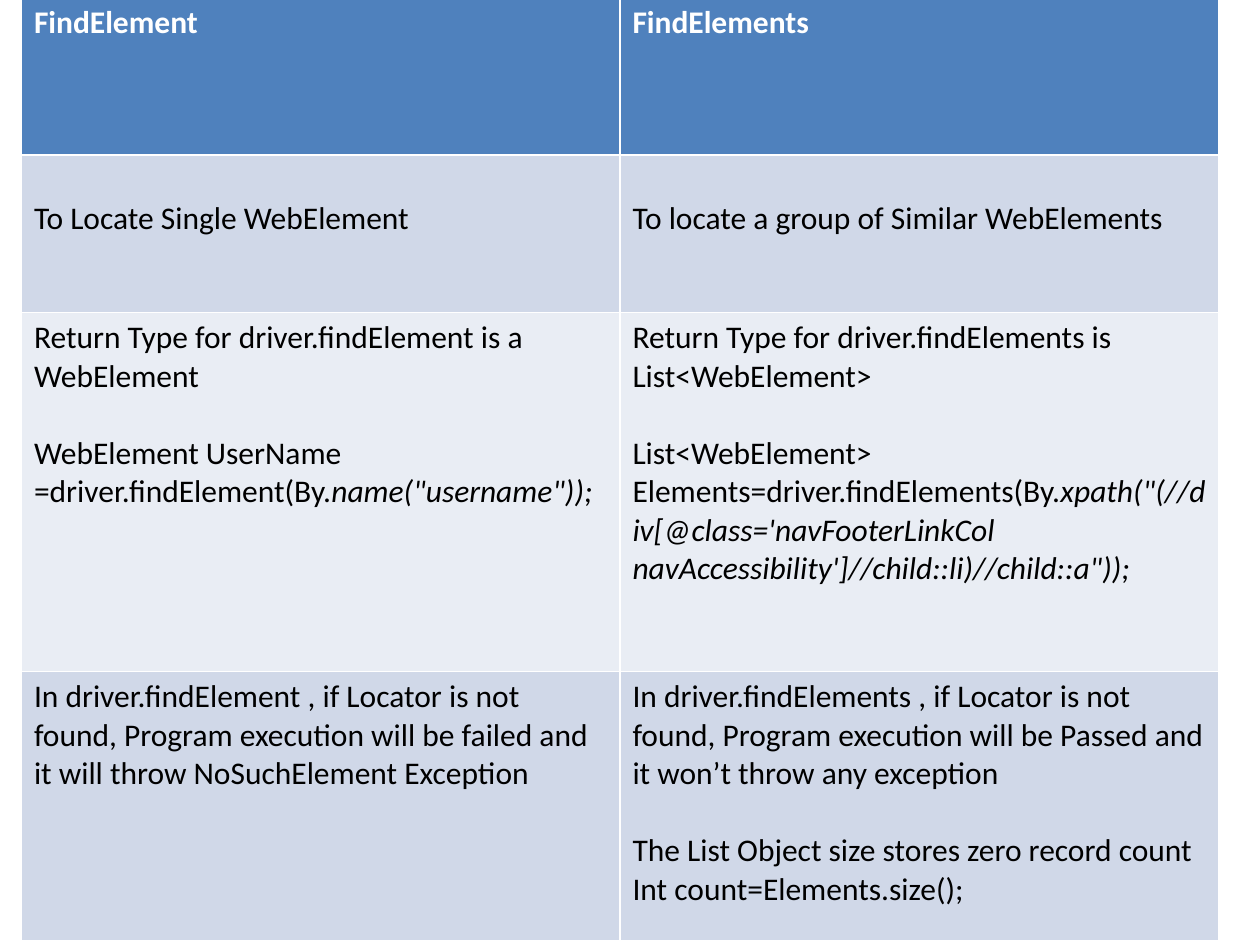
from pptx import Presentation
from pptx.dml.color import RGBColor
from pptx.util import Inches, Pt

COLORS = {
    "header": "4F81BD",
    "band_dark": "D0D8E8",
    "band_light": "E9EDF4",
    "white": "FFFFFF",
    "black": "000000",
}
FONT = "Calibri"
FONT_SIZE = 18
LINE_GAP = 22  # one line of text, in points

LEFT, TOP = 0.17, -0.02
COLUMN_WIDTH = 4.75
MARGIN_TOP = 0.05

# Each cell lists its paragraphs: (plain text, italic text, gap above in points)
ROWS = [
    {
        "height": 1.25, "fill": "header", "margin_top": MARGIN_TOP,
        "cells": [[("FindElement", "", 0)], [("FindElements", "", 0)]],
    },
    {
        "height": 1.25, "fill": "band_dark", "margin_top": MARGIN_TOP + 0.3,
        "cells": [
            [("To Locate Single WebElement", "", 0)],
            [("To locate a group of Similar WebElements", "", 0)],
        ],
    },
    {
        "height": 2.85, "fill": "band_light", "margin_top": MARGIN_TOP,
        "cells": [
            [
                ("Return Type for driver.findElement is a WebElement", "", 0),
                ("WebElement UserName =driver.findElement(By.",
                 'name("username"));', LINE_GAP),
            ],
            [
                ("Return Type for driver.findElements is List<WebElement>", "", 0),
                ("List<WebElement> Elements=driver.findElements(By.",
                 "xpath(\"(//div[@class='navFooterLinkCol navAccessibility']"
                 "//child::li)//child::a\"));", LINE_GAP),
            ],
        ],
    },
    {
        "height": 2.14, "fill": "band_dark", "margin_top": MARGIN_TOP,
        "cells": [
            [("In driver.findElement , if Locator is not found, Program execution "
              "will be failed and it will throw NoSuchElement Exception", "", 0)],
            [
                ("In driver.findElements , if Locator is not found, Program execution "
                 "will be Passed and it won’t throw any exception", "", 0),
                ("The List Object size stores zero record count", "", LINE_GAP),
                ("Int count=Elements.size();", "", 0),
            ],
        ],
    },
]


def rgb(name):
    return RGBColor.from_string(COLORS[name])


def add_text(paragraph, text, color="black", bold=False, italic=False):
    run = paragraph.add_run()
    run.text = text
    font = run.font
    font.name, font.size = FONT, Pt(FONT_SIZE)
    font.bold, font.italic = bold, italic
    font.color.rgb = rgb(color)


def fill_cell(cell, paragraphs, row):
    is_header = row["fill"] == "header"
    text_format = {"color": "white" if is_header else "black", "bold": is_header}
    cell.fill.solid()
    cell.fill.fore_color.rgb = rgb(row["fill"])
    cell.margin_top = Inches(row["margin_top"])
    frame = cell.text_frame
    for index, (plain, italic, gap) in enumerate(paragraphs):
        paragraph = frame.add_paragraph() if index else frame.paragraphs[0]
        paragraph.space_before = Pt(gap)
        add_text(paragraph, plain, **text_format)
        if italic:
            add_text(paragraph, italic, italic=True, **text_format)


def main():
    presentation = Presentation()
    presentation.slide_width, presentation.slide_height = Inches(10), Inches(7.5)
    slide = presentation.slides.add_slide(presentation.slide_layouts[6])

    column_count = len(ROWS[0]["cells"])
    table = slide.shapes.add_table(
        len(ROWS), column_count, Inches(LEFT), Inches(TOP),
        Inches(COLUMN_WIDTH * column_count),
        Inches(sum(row["height"] for row in ROWS)),
    ).table
    for column in table.columns:
        column.width = Inches(COLUMN_WIDTH)
    for row_index, row in enumerate(ROWS):
        table.rows[row_index].height = Inches(row["height"])
        for column_index, paragraphs in enumerate(row["cells"]):
            fill_cell(table.cell(row_index, column_index), paragraphs, row)

    presentation.save("out.pptx")


if __name__ == "__main__":
    main()
